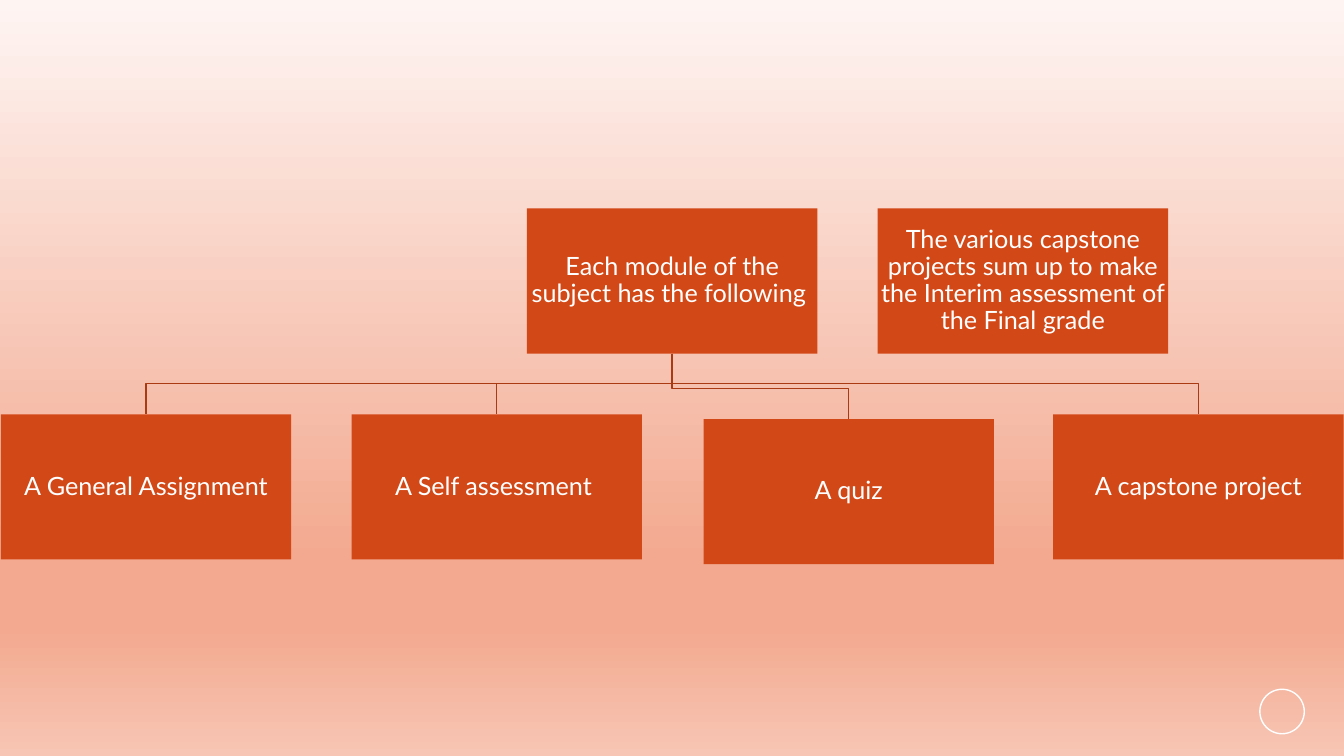
from lxml import etree
from pptx import Presentation
from pptx.dml.color import RGBColor as RGB
from pptx.enum.shapes import MSO_SHAPE as SHAPE
from pptx.enum.text import MSO_ANCHOR as ANCHOR, PP_ALIGN as ALIGN
from pptx.oxml.ns import qn
from pptx.util import Cm, Pt

COLORS = {"box": "D34817", "line": "A93A12", "white": "FFFFFF"}
GRADIENT = [(0, "FEF5F3"), (74, "F3A98F"), (83, "F3A98F"), (100, "F7C6B4")]

# Chart geometry in centimetres
BOX_W, BOX_H = 7.32, 3.66
LEFT, PITCH = 0.02, 8.84
PARENT_TOP, CHILD_TOP = 5.25, 10.44
BEND = 0.77

PARENTS = [
    (1.5, "Each module of the subject has the following "),
    (2.5, "The various capstone projects sum up to make the Interim "
          "assessment of the Final grade"),
]
# Text, shift right, shift down
CHILDREN = [
    ("A General Assignment", 0, 0),
    ("A Self assessment ", 0, 0),
    ("A quiz", 0.03, 0.12),
    ("A capstone project", 0, 0),
]


def color(name):
    return RGB.from_string(COLORS[name])


def set_background(s):
    fill = s.background.fill
    fill.gradient()
    fill.gradient_angle = 270
    stops = s.element.find(".//" + qn("a:gsLst"))
    for stop in list(stops):
        stops.remove(stop)
    for pos, rgb in GRADIENT:
        stop = etree.SubElement(stops, qn("a:gs"), pos=str(pos * 1000))
        etree.SubElement(stop, qn("a:srgbClr"), val=rgb)


def set_outline(sp, name):
    sp.shadow.inherit = False
    sp.fill.background()
    sp.line.color.rgb = color(name)
    sp.line.width = Pt(1)


def write(sp, text, size=18, font="Lato", ink="white"):
    tf = sp.text_frame
    tf.word_wrap = True
    tf.vertical_anchor = ANCHOR.MIDDLE
    tf.margin_left = tf.margin_right = tf.margin_top = tf.margin_bottom = Cm(0.03)
    p = tf.paragraphs[0]
    p.alignment = ALIGN.CENTER
    p.line_spacing = 0.9
    r = p.add_run()
    r.text = text
    r.font.size = Pt(size)
    r.font.name = font
    r.font.color.rgb = color(ink)


def add_box(s, x, y, text):
    sp = s.shapes.add_shape(SHAPE.RECTANGLE, Cm(x), Cm(y), Cm(BOX_W), Cm(BOX_H))
    sp.shadow.inherit = False
    sp.fill.solid()
    sp.fill.fore_color.rgb = color("box")
    sp.line.fill.background()
    write(sp, text)


def add_elbow(s, x1, y1, x2, y2):
    bend = Cm(y2 - BEND)
    builder = s.shapes.build_freeform(Cm(x1), Cm(y1))
    builder.add_line_segments(
        [(Cm(x1), bend), (Cm(x2), bend), (Cm(x2), Cm(y2))], close=False)
    set_outline(builder.convert_to_shape(), "line")


def main():
    prs = Presentation()
    prs.slide_width, prs.slide_height = Cm(33.87), Cm(19.05)
    s = prs.slides.add_slide(prs.slide_layouts[6])
    set_background(s)

    # Corner ring
    ring = s.shapes.add_shape(SHAPE.OVAL, Cm(31.75), Cm(17.37), Cm(1.12), Cm(1.12))
    set_outline(ring, "white")

    # Links from the first parent to each child
    root_x = LEFT + PARENTS[0][0] * PITCH + BOX_W / 2
    places = [(LEFT + i * PITCH + dx, CHILD_TOP + dy, text)
              for i, (text, dx, dy) in enumerate(CHILDREN)]
    for x, y, _ in places:
        add_elbow(s, root_x, PARENT_TOP + BOX_H, x + BOX_W / 2, y)

    # Boxes
    for column, text in PARENTS:
        add_box(s, LEFT + column * PITCH, PARENT_TOP, text)
    for x, y, text in places:
        add_box(s, x, y, text)

    prs.save("out.pptx")


if __name__ == "__main__":
    main()
